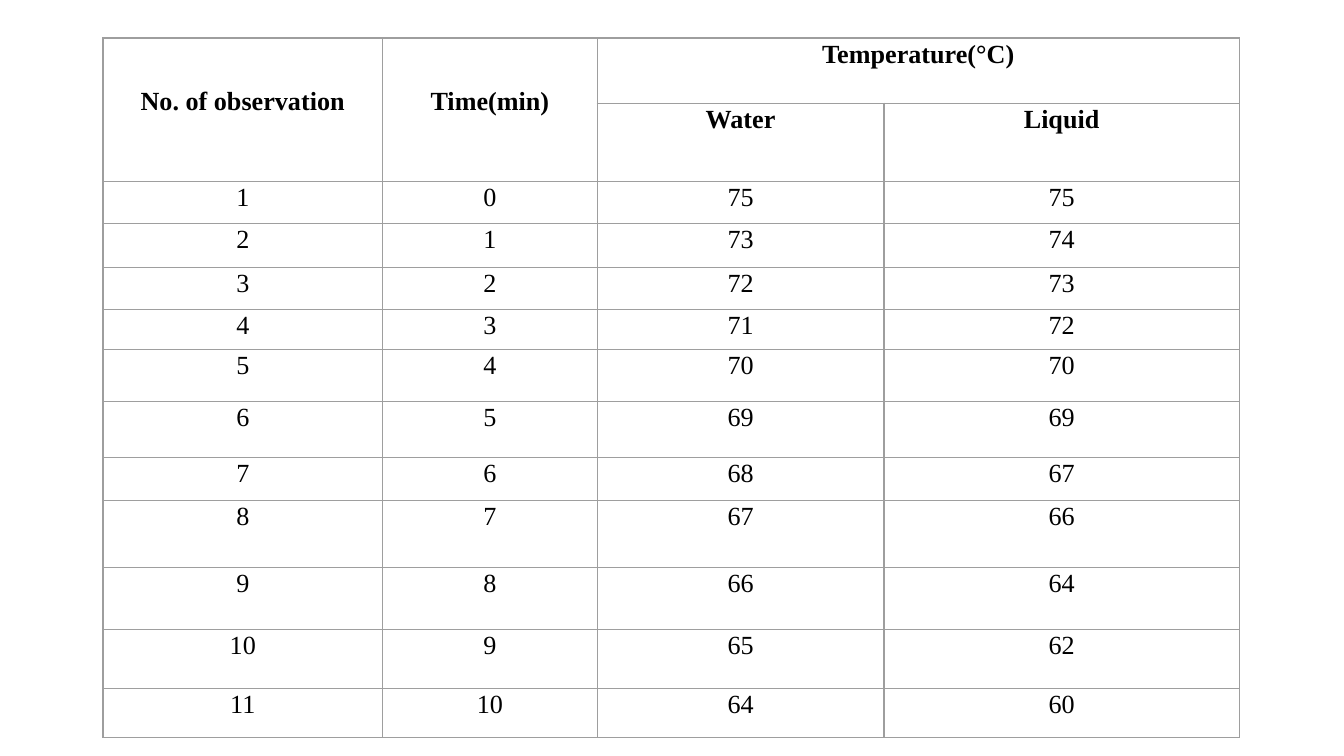
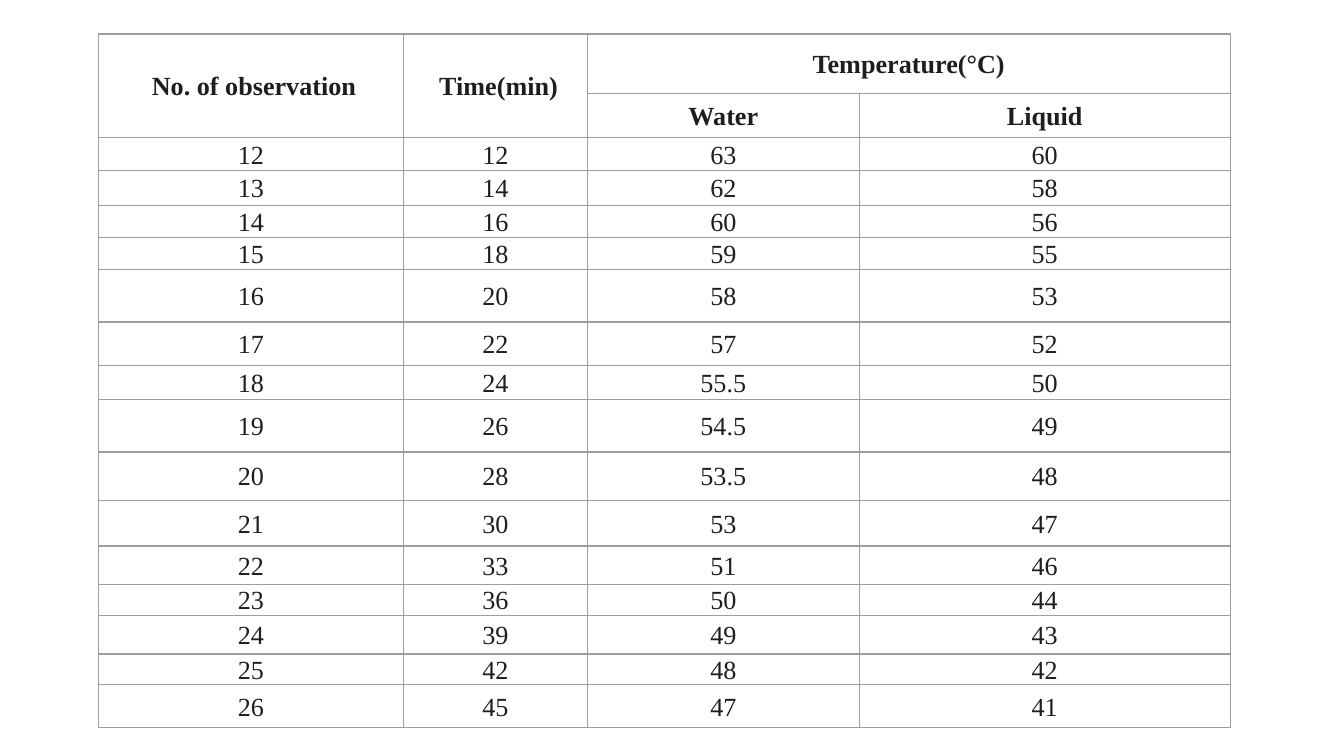
"""Build two slides of cooling observations as bordered tables."""
from dataclasses import dataclass

from lxml.etree import SubElement
from pptx import Presentation
from pptx.dml.color import RGBColor as Color
from pptx.enum.text import MSO_ANCHOR as Anchor, PP_ALIGN as Align
from pptx.oxml.ns import qn
from pptx.util import Pt


@dataclass(frozen=True)
class Theme:
    font: str = "Times New Roman"
    size: float = 14
    black: str = "000000"
    charcoal: str = "1E1E1E"
    border: str = "9E9E9E"
    border_width: float = 0.75
    line_spacing: float = 1.07
    space_after: float = 8


class Deck:
    HEADERS = {
        (0, 0): "No. of observation",
        (0, 1): "Time(min)",
        (0, 2): "Temperature(°C)",
        (1, 2): "Water",
        (1, 3): "Liquid",
    }
    MERGES = (((0, 0), (1, 0)), ((0, 1), (1, 1)), ((0, 2), (0, 3)))

    def __init__(self, theme):
        self.theme = theme
        self.presentation = Presentation()
        self.presentation.slide_width = Pt(720)
        self.presentation.slide_height = Pt(405)
        self.slide = None

    def add_slide(self):
        layout = self.presentation.slide_layouts[6]
        self.slide = self.presentation.slides.add_slide(layout)

    def draw_borders(self, cell):
        properties = cell._tc.get_or_add_tcPr()
        for side in ("lnL", "lnR", "lnT", "lnB"):
            line = SubElement(properties, qn(f"a:{side}"), w=str(Pt(self.theme.border_width)))
            fill = SubElement(line, qn("a:solidFill"))
            SubElement(fill, qn("a:srgbClr"), val=self.theme.border)

    def style_cell(self, cell, text, bold, color, cell_format):
        self.draw_borders(cell)
        cell.fill.background()
        for name, value in cell_format.items():
            setattr(cell, name, value)
        paragraph = cell.text_frame.paragraphs[0]
        paragraph_format = {
            "alignment": Align.CENTER,
            "line_spacing": self.theme.line_spacing,
            "space_after": Pt(self.theme.space_after),
        }
        for name, value in paragraph_format.items():
            setattr(paragraph, name, value)
        target = paragraph
        if text:
            target = paragraph.add_run()
            target.text = text
        font_format = {"name": self.theme.font, "size": Pt(self.theme.size), "bold": bold}
        for name, value in font_format.items():
            setattr(target.font, name, value)
        target.font.color.rgb = Color.from_string(color)

    def add_table(self, left, top, widths, heights, records, color, anchor, inset, tall_header):
        frame = self.slide.shapes.add_table(
            len(heights), len(widths), Pt(left), Pt(top), Pt(sum(widths)), Pt(sum(heights))
        )
        table = frame.table
        table.first_row = table.horz_banding = False
        for column, width in zip(table.columns, widths):
            column.width = Pt(width)
        for row, height in zip(table.rows, heights):
            row.height = Pt(height)
        for start, end in self.MERGES:
            table.cell(*start).merge(table.cell(*end))
        texts = dict(self.HEADERS)
        for row, record in enumerate(records, 2):
            for column, value in enumerate(record):
                texts[row, column] = str(value)
        for row in range(len(heights)):
            for column in range(len(widths)):
                cell_format = {
                    "vertical_anchor": anchor,
                    "margin_left": Pt(inset),
                    "margin_right": Pt(inset),
                    "margin_top": Pt(0),
                    "margin_bottom": Pt(0),
                }
                if row == 0 and column < 2:
                    cell_format.update(tall_header)
                text = texts.get((row, column), "")
                self.style_cell(table.cell(row, column), text, row < 2, color, cell_format)


def main():
    theme = Theme()
    deck = Deck(theme)

    water = [75, *range(73, 63, -1)]
    liquid = [75, 74, 73, 72, 70, 69, 67, 66, 64, 62, 60]
    deck.add_slide()
    deck.add_table(
        left=55.2,
        top=20.4,
        widths=[149.8, 115, 153.6, 190.5],
        heights=[34.9, 40.2, 22.5, 23.6, 22.5, 21.6, 27.7, 30, 23.2, 36, 33, 31.6, 26.3],
        records=zip(range(1, 12), range(11), water, liquid),
        color=theme.black,
        anchor=Anchor.TOP,
        inset=5,
        tall_header={"margin_top": Pt(25.2)},
    )

    minutes = [*range(12, 31, 2), *range(33, 46, 3)]
    water = [63, 62, 60, 59, 58, 57, 55.5, 54.5, 53.5, 53, 51, 50, 49, 48, 47]
    liquid = [60, 58, 56, 55, 53, 52, 50, 49, 48, 47, 46, 44, 43, 42, 41]
    deck.add_slide()
    deck.add_table(
        left=52.7,
        top=18.2,
        widths=[163.4, 98.6, 145.7, 198.7],
        heights=[31.7, 24, 17.5, 18.7, 17.3, 16.9, 28.3, 23.4, 18,
                 28.3, 25.8, 24.6, 20.5, 12.3, 20.7, 14.4, 23],
        records=zip(range(12, 27), minutes, water, liquid),
        color=theme.charcoal,
        anchor=Anchor.MIDDLE,
        inset=3.6,
        tall_header={"margin_left": Pt(7.1)},
    )

    deck.presentation.save("out.pptx")


if __name__ == "__main__":
    main()
